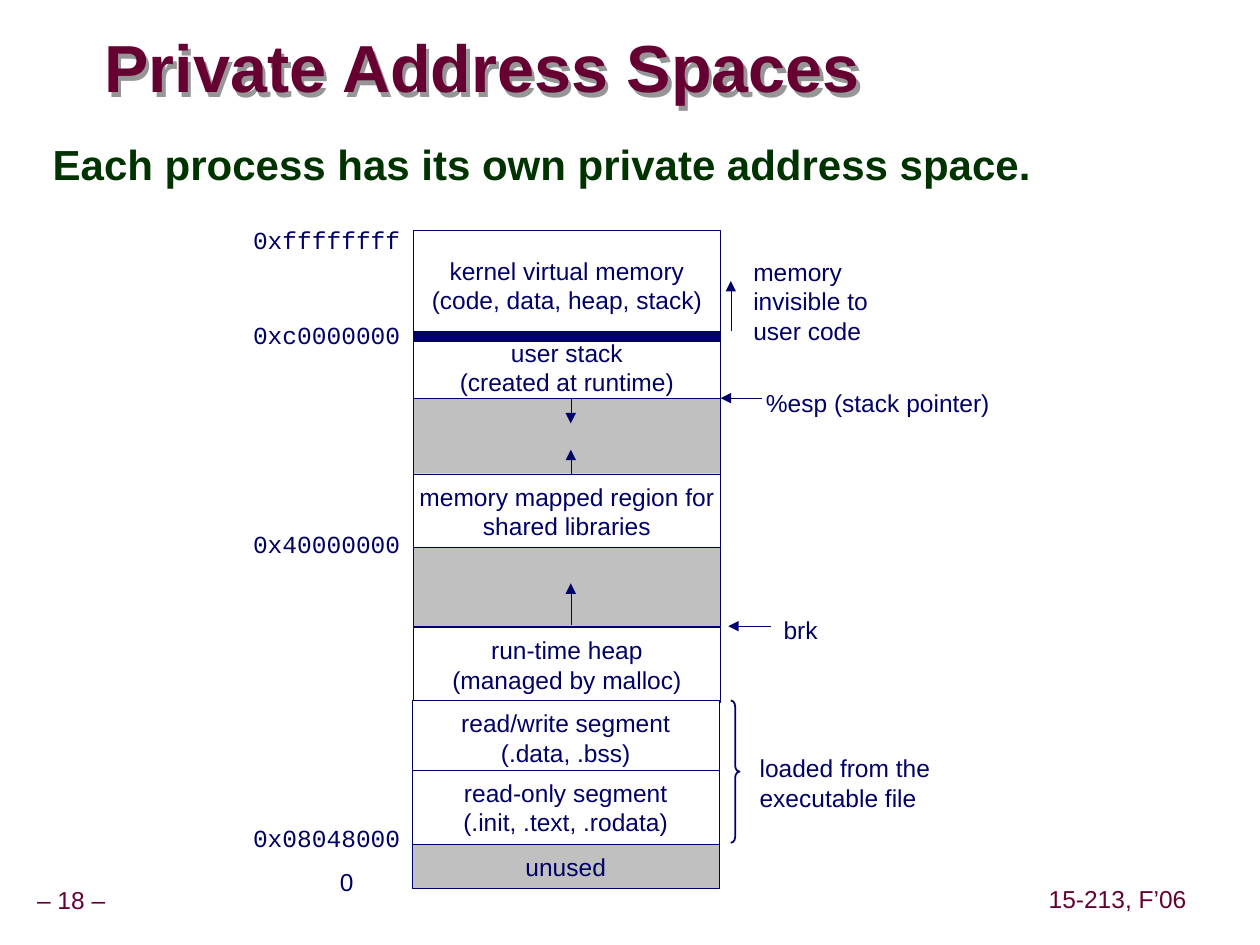
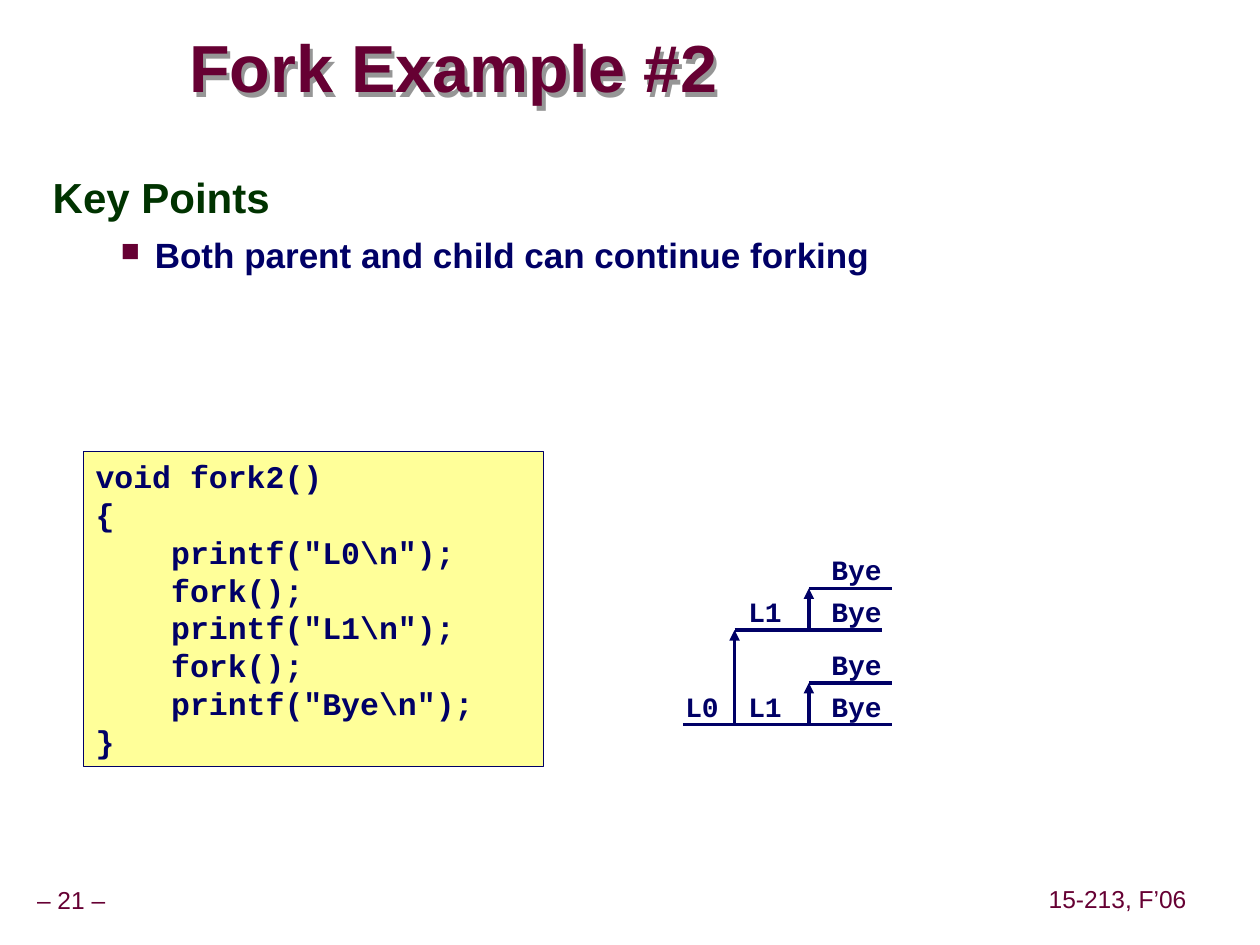
from typing import NamedTuple, Optional

from lxml import etree
from pptx import Presentation
from pptx.dml.color import RGBColor
from pptx.enum.shapes import MSO_CONNECTOR, MSO_SHAPE
from pptx.enum.text import MSO_ANCHOR as Anchor, MSO_AUTO_SIZE as AutoSize, PP_ALIGN as Align
from pptx.oxml.ns import qn
from pptx.util import Inches, Pt

MAROON = RGBColor(0x66, 0x00, 0x33)
GREEN = RGBColor(0x00, 0x33, 0x00)
NAVY = RGBColor(0x00, 0x00, 0x66)
WHITE = RGBColor(0xFF, 0xFF, 0xFF)
GREY = RGBColor(0xC0, 0xC0, 0xC0)
YELLOW = RGBColor(0xFF, 0xFF, 0x99)
SHADOW = RGBColor(0x96, 0x96, 0x96)

SANS, MONO = "Arial", "Courier New"
COURSE = "15-213, F’06"
HAIRLINE = 0.25


class Style(NamedTuple):
    size: float
    color: RGBColor = NAVY
    font: str = SANS
    bold: bool = False
    align: Align = Align.LEFT
    spacing: Optional[float] = None


TITLE = Style(38, MAROON, bold=True, spacing=0.87)
FOOTER = Style(14, MAROON, align=Align.CENTER, spacing=0.9)
HEADING = Style(24, GREEN, bold=True, spacing=0.95)
BULLET = Style(20, bold=True)
LABEL = Style(14)
REGION = Style(14, align=Align.CENTER)
ADDRESS = Style(14, font=MONO)
CODE = Style(18, font=MONO, bold=True)
OUTPUT = Style(16, font=MONO, bold=True)


class Region(NamedTuple):
    left: float
    top: float
    height: float
    text: str = ""
    fill: RGBColor = WHITE


class Label(NamedTuple):
    left: float
    top: float
    width: float
    height: float
    text: str
    style: Style = LABEL


class Line(NamedTuple):
    x1: float
    y1: float
    x2: float
    y2: float
    weight: float = HAIRLINE
    arrow: bool = True


# Address space, back to front
REGION_WIDTH = 2.44
REGIONS = [
    Region(3.28, 1.83, 0.87, "kernel virtual memory\n(code, data, heap, stack)"),
    Region(3.28, 3.76, 0.59, "memory mapped region for\nshared libraries"),
    Region(3.28, 4.34, 0.63, fill=GREY),
    Region(3.28, 4.98, 0.59, "run-time heap\n(managed by malloc)"),
    Region(3.28, 2.97, 0.79, fill=GREY),
    Region(3.28, 2.67, 0.49, "user stack\n(created at runtime)"),
    Region(3.27, 6.7, 0.35, "unused", GREY),
    Region(3.27, 5.56, 0.59, "read/write segment\n(.data, .bss)"),
    Region(3.27, 6.11, 0.59, "read-only segment\n(.init, .text, .rodata)"),
]
ADDRESSES = {"0xffffffff": 1.74, "0xc0000000": 2.49, "0x40000000": 4.15, "0x08048000": 6.48}
MEMORY_LABELS = [
    Label(2.6, 6.83, 0.34, 0.34, "0"),
    Label(5.98, 3.03, 2.05, 0.34, "%esp (stack pointer)"),
    Label(5.88, 1.99, 1.15, 0.8, "memory\ninvisible to\nuser code"),
    Label(6.12, 4.83, 0.51, 0.34, "brk"),
    Label(5.93, 5.93, 1.65, 0.57, "loaded from the\nexecutable file"),
]
MEMORY_LINES = [
    Line(4.53, 4.96, 4.53, 4.63),
    Line(4.53, 3.77, 4.53, 3.57),
    Line(4.53, 3.16, 4.53, 3.36),
    Line(6.05, 3.16, 5.72, 3.16),
    Line(5.8, 2.63, 5.8, 2.23),
    Line(6.12, 4.97, 5.78, 4.97),
    Line(3.28, 2.67, 5.72, 2.67, weight=6, arrow=False),
]

FORK_CODE = r"""void fork2()
{
    printf("L0\n");
    fork();
    printf("L1\n");
    fork();
    printf("Bye\n");
}"""


# Process tree: one stage for each printf, one row for each process
class Stage(NamedTuple):
    text: str
    start: float
    end: float
    label_left: float
    label_width: float
    rows: tuple


ROOT, ROOT_CHILD, CHILD, GRANDCHILD = 5.75, 5.42, 5.0, 4.67
LABEL_RISE = 0.33
STAGES = [
    Stage("L0", 5.42, 5.83, 5.34, 0.52, (ROOT,)),
    Stage("L1", 5.83, 6.42, 5.84, 0.52, (ROOT, CHILD)),
    Stage("Bye", 6.42, 7.08, 6.5, 0.66, (ROOT, ROOT_CHILD, CHILD, GRANDCHILD)),
]
FORKS = [(5.83, ROOT, CHILD), (6.42, ROOT, ROOT_CHILD), (6.42, CHILD, GRANDCHILD)]


def format_paragraph(paragraph, style: Style) -> None:
    paragraph.alignment = style.align
    if style.spacing:
        paragraph.line_spacing = style.spacing
    for run in paragraph.runs:
        run.font.name = style.font
        run.font.size = Pt(style.size)
        run.font.bold = style.bold
        run.font.color.rgb = style.color


def fill_text(shape, text: str, style: Style, anchor: Anchor = Anchor.TOP,
              wrap: bool = False, grow: bool = False, inset: tuple = (0.1, 0.05)) -> None:
    frame = shape.text_frame
    frame.text = text
    frame.word_wrap = wrap
    frame.auto_size = AutoSize.SHAPE_TO_FIT_TEXT if grow else AutoSize.NONE
    frame.vertical_anchor = anchor
    frame.margin_left = frame.margin_right = Inches(inset[0])
    frame.margin_top = frame.margin_bottom = Inches(inset[1])
    for paragraph in frame.paragraphs:
        format_paragraph(paragraph, style)


def add_label(slide, label: Label, **options):
    box = slide.shapes.add_textbox(Inches(label.left), Inches(label.top),
                                   Inches(label.width), Inches(label.height))
    fill_text(box, label.text, label.style, **options)
    return box


def add_outlined(slide, kind: MSO_SHAPE, left: float, top: float, width: float, height: float,
                 fill: Optional[RGBColor], weight: float = HAIRLINE):
    shape = slide.shapes.add_shape(kind, Inches(left), Inches(top), Inches(width), Inches(height))
    shape.shadow.inherit = False
    if fill is None:
        shape.fill.background()
    else:
        shape.fill.solid()
        shape.fill.fore_color.rgb = fill
    shape.line.color.rgb = NAVY
    shape.line.width = Pt(weight)
    return shape


def add_line(slide, line: Line) -> None:
    connector = slide.shapes.add_connector(MSO_CONNECTOR.STRAIGHT, Inches(line.x1), Inches(line.y1),
                                           Inches(line.x2), Inches(line.y2))
    connector.line.color.rgb = NAVY
    connector.line.width = Pt(line.weight)
    if line.arrow:
        etree.SubElement(connector.line._get_or_add_ln(), qn("a:tailEnd"), type="triangle")
    etree.SubElement(connector._element.spPr, qn("a:effectLst"))


def add_title_shadow(title) -> None:
    effects = etree.SubElement(title._element.spPr, qn("a:effectLst"))
    shadow = etree.SubElement(effects, qn("a:outerShdw"), blurRad="0", dist=str(Inches(0.05)),
                              dir=str(60 * 60000), algn="ctr", rotWithShape="0")
    etree.SubElement(shadow, qn("a:srgbClr"), val=str(SHADOW))


def add_bullet(paragraph) -> None:
    properties = paragraph._p.get_or_add_pPr()
    properties.set("marL", str(Inches(0.81)))
    properties.set("indent", str(Inches(-0.27)))
    color = etree.SubElement(properties, qn("a:buClr"))
    etree.SubElement(color, qn("a:srgbClr"), val=str(MAROON))
    etree.SubElement(properties, qn("a:buSzPct"), val="75000")
    etree.SubElement(properties, qn("a:buChar"), char="■")


def start_slide(presentation, number: int, title_text: str, left: float, width: float):
    """Add a slide with its shadowed title and footers."""
    slide = presentation.slides.add_slide(presentation.slide_layouts[5])
    title = slide.shapes.title
    title.left, title.top = Inches(left), Inches(0.25)
    title.width, title.height = Inches(width), Inches(0.63)
    fill_text(title, title_text, TITLE, Anchor.MIDDLE, wrap=True, inset=(0, 0))
    add_title_shadow(title)
    for footer in (Label(-0.09, 7, 1.31, 0.31, f"– {number} –", FOOTER),
                   Label(8.27, 6.99, 1.2, 0.31, COURSE, FOOTER)):
        add_label(slide, footer, anchor=Anchor.MIDDLE, grow=True, inset=(0.05, 0.05))
    return slide


def build_address_space(presentation) -> None:
    slide = start_slide(presentation, 18, "Private Address Spaces", 0.83, 7.01)
    add_label(slide, Label(0.32, 1.08, 9.09, 1.04,
                           "Each process has its own private address space.", HEADING), wrap=True)

    # Memory regions
    for region in REGIONS:
        box = add_outlined(slide, MSO_SHAPE.RECTANGLE, region.left, region.top,
                           REGION_WIDTH, region.height, region.fill)
        if region.text:
            fill_text(box, region.text, REGION, Anchor.MIDDLE)

    # Brace, pointers and labels
    brace = add_outlined(slide, MSO_SHAPE.RIGHT_BRACE, 5.8, 5.56, 0.07, 1.13, None, weight=1)
    brace.adjustments[0] = 0.67
    for line in MEMORY_LINES:
        add_line(slide, line)
    addresses = [Label(1.91, top, 1.42, 0.34, text, ADDRESS) for text, top in ADDRESSES.items()]
    for label in MEMORY_LABELS + addresses:
        add_label(slide, label, wrap=True)


def build_fork_example(presentation) -> None:
    slide = start_slide(presentation, 21, "Fork Example #2", 1.5, 5.57)

    # Code listing
    listing = add_outlined(slide, MSO_SHAPE.RECTANGLE, 0.66, 3.58, 3.65, 2.5, YELLOW)
    fill_text(listing, FORK_CODE, CODE, wrap=True)

    # Key points
    body = add_label(slide, Label(0.32, 1.34, 9.09, 5.71, "Key Points", HEADING), wrap=True)
    point = body.text_frame.add_paragraph()
    point.text = "Both parent and child can continue forking"
    point.level = 1
    add_bullet(point)
    point.space_before = Pt(6.2)
    format_paragraph(point, BULLET)

    # Process tree
    for stage in STAGES:
        for row in stage.rows:
            end = 7.0 if (stage.text, row) == ("Bye", CHILD) else stage.end
            add_line(slide, Line(stage.start, row, end, row, weight=2, arrow=False))
            add_label(slide, Label(stage.label_left, row - LABEL_RISE, stage.label_width, 0.37,
                                   stage.text, OUTPUT), wrap=True)
    for x, parent, child in FORKS:
        add_line(slide, Line(x, parent, x, child, weight=2))


def main() -> None:
    presentation = Presentation()
    presentation.slide_width, presentation.slide_height = Inches(10), Inches(7.5)
    build_address_space(presentation)
    build_fork_example(presentation)
    presentation.save("out.pptx")


if __name__ == "__main__":
    main()
